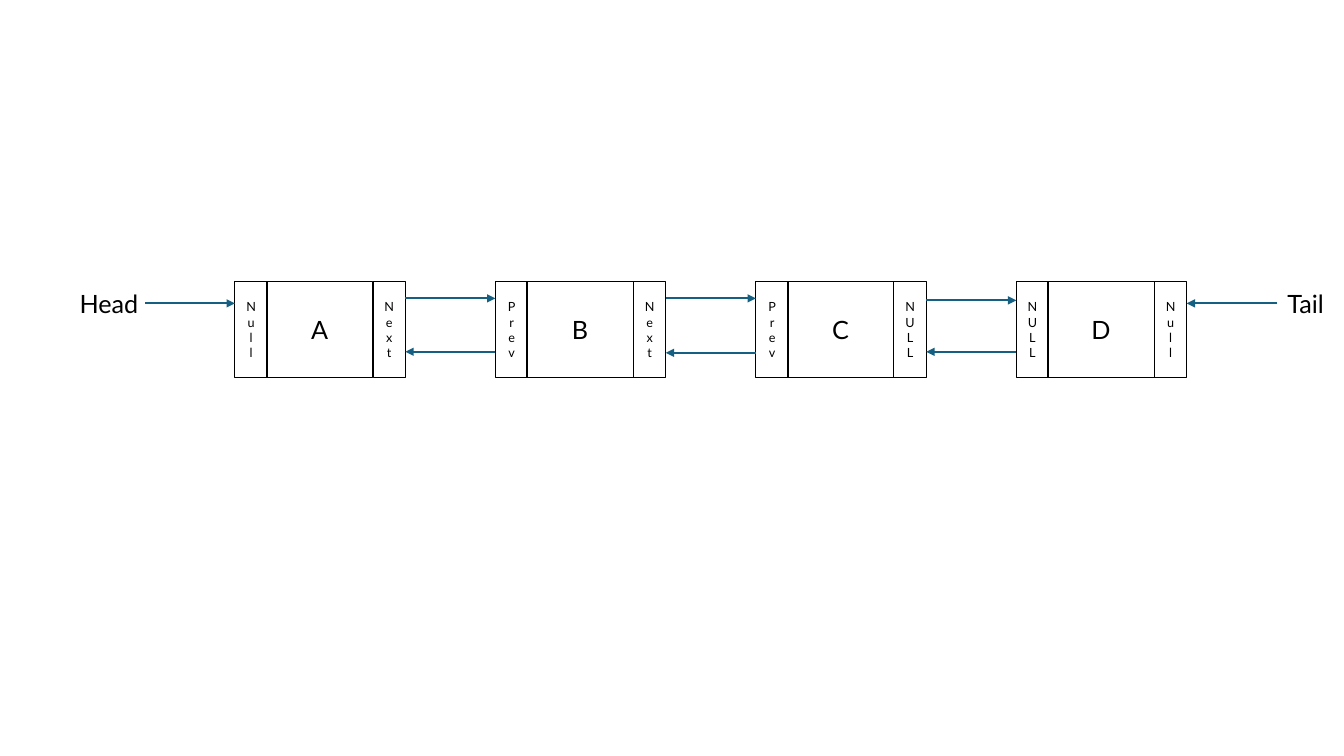
from lxml import etree
from pptx import Presentation
from pptx.dml.color import RGBColor
from pptx.enum import shapes, text
from pptx.oxml.ns import qn
from pptx.util import Inches, Pt

TOP, HEIGHT = 2.79, 0.96
POINTER_WIDTH, DATA_WIDTH = 0.32, 1.06
NODE_WIDTH = 2 * POINTER_WIDTH + DATA_WIDTH - 0.01
FIRST_LEFT, LAST_LEFT = 2.33, 10.08
INK, ARROW = "000000", "156082"

deck = Presentation()
deck.slide_width, deck.slide_height = Inches(13.33), Inches(7.5)
slide = deck.slides.add_slide(deck.slide_layouts[6])


def write(frame, words, size, align):
    paragraph = frame.paragraphs[0]
    paragraph.alignment = align
    run = paragraph.add_run()
    run.text = words
    for name, value in {"name": "Lato", "size": Pt(size)}.items():
        setattr(run.font, name, value)
    run.font.color.rgb = RGBColor.from_string(INK)


def add_arrow(start, end, y):
    arrow = slide.shapes.add_connector(
        shapes.MSO_CONNECTOR.STRAIGHT, Inches(start), Inches(y), Inches(end), Inches(y))
    arrow.line.color.rgb = RGBColor.from_string(ARROW)
    arrow.line.width = Pt(1.5)
    etree.SubElement(arrow.line._get_or_add_ln(), qn("a:tailEnd"), type="triangle")
    etree.SubElement(arrow._element.spPr, qn("a:effectLst"))


# Nodes: previous pointer, data, next pointer
nodes = [("Null", "A", "Next"), ("Prev", "B", "Next"),
         ("Prev", "C", "NULL"), ("NULL", "D", "Null")]
pitch = (LAST_LEFT - FIRST_LEFT) / (len(nodes) - 1)
node_lefts = [FIRST_LEFT + pitch * i for i in range(len(nodes))]
cells = [(0, POINTER_WIDTH, 9), (POINTER_WIDTH - 0.01, DATA_WIDTH, 18),
         (NODE_WIDTH - POINTER_WIDTH, POINTER_WIDTH, 9)]

for node_left, labels in zip(node_lefts, nodes):
    node = slide.shapes.add_group_shape()
    for label, (offset, width, size) in zip(labels, cells):
        cell = node.shapes.add_shape(
            shapes.MSO_SHAPE.RECTANGLE, Inches(node_left + offset), Inches(TOP),
            Inches(width), Inches(HEIGHT))
        cell.shadow.inherit = False
        cell.fill.background()
        cell.line.color.rgb = RGBColor.from_string(INK)
        cell.line.width = Pt(0.75)
        cell.text_frame.vertical_anchor = text.MSO_ANCHOR.MIDDLE
        write(cell.text_frame, label, size, text.PP_ALIGN.CENTER)
        if width == POINTER_WIDTH:
            cell.text_frame._txBody.bodyPr.set("vert", "wordArtVert")

# Links between neighbours: height of the next link, height of the previous link
link_heights = [(2.96, 3.49), (2.96, 3.5), (2.98, 3.49)]
for left, right, (next_y, prev_y) in zip(node_lefts, node_lefts[1:], link_heights):
    add_arrow(left + NODE_WIDTH, right, next_y)
    add_arrow(right, left + NODE_WIDTH, prev_y)

# Entry points of the list
list_end = LAST_LEFT + NODE_WIDTH
entries = [("Head", 0.69, 0.79, 1.44, FIRST_LEFT),
           ("Tail", 12.67, 0.56, 12.67, list_end)]
for entry, left, width, start, end in entries:
    caption = slide.shapes.add_textbox(Inches(left), Inches(2.81), Inches(width), Inches(0.4))
    caption.text_frame.word_wrap = False
    caption.text_frame.auto_size = text.MSO_AUTO_SIZE.SHAPE_TO_FIT_TEXT
    write(caption.text_frame, entry, 18, text.PP_ALIGN.LEFT)
    add_arrow(start, end, 3.01)

deck.save("out.pptx")
